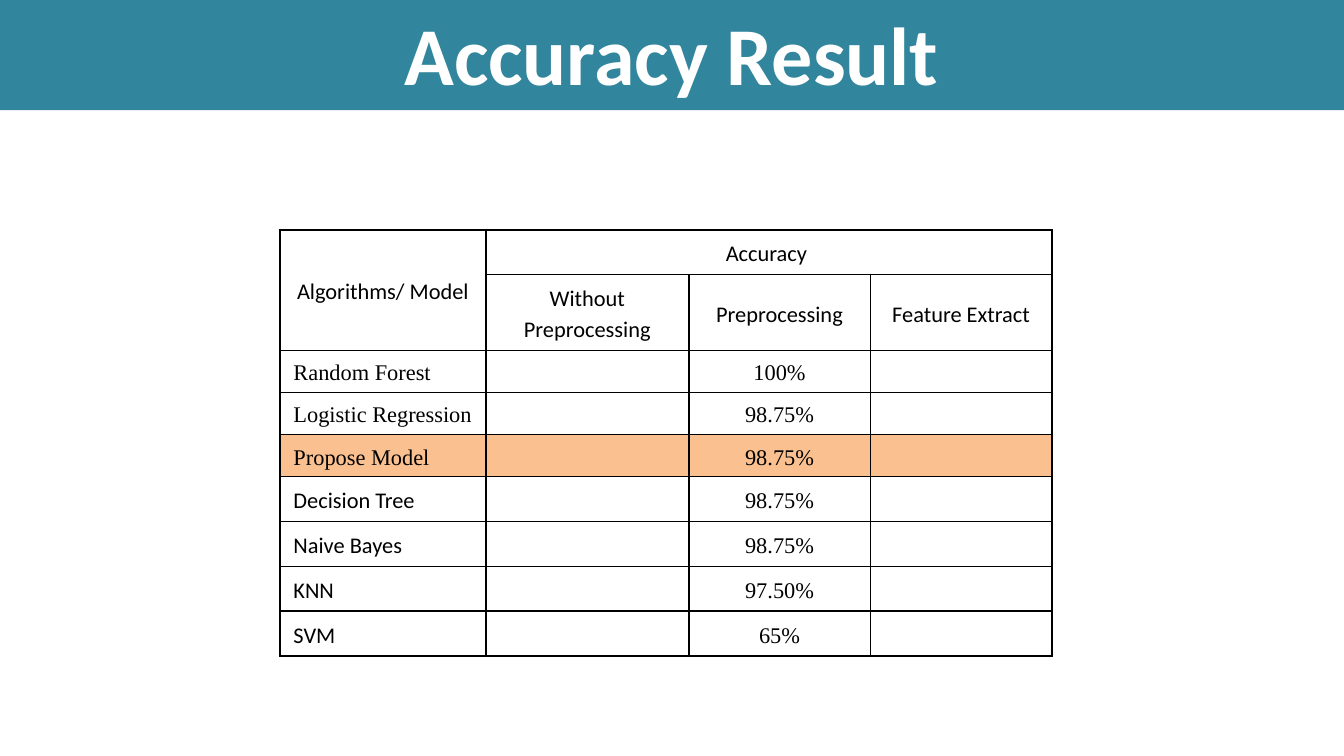
from lxml import etree
from pptx import Presentation
from pptx.dml.color import RGBColor
from pptx.enum import shapes, text
from pptx.oxml import ns
from pptx.util import Pt

TEAL = RGBColor(0x31, 0x85, 0x9C)
ORANGE = RGBColor(0xFA, 0xC0, 0x90)
WHITE = RGBColor(0xFF, 0xFF, 0xFF)
BLACK = RGBColor(0, 0, 0)
SANS, SERIF = "Calibri", "Times New Roman"

# Content
TITLE = "Accuracy Result"
HEADERS = [
    ["Algorithms/ Model", "Accuracy ", "", ""],
    ["", "Without Preprocessing", "Preprocessing", "Feature Extract"],
]
# Model, accuracy after preprocessing, font of the model name
RESULTS = [
    ("Random Forest", "100%", SERIF),
    ("Logistic Regression", "98.75%", SERIF),
    ("Propose Model", "98.75%", SERIF),
    ("Decision Tree", "98.75%", SANS),
    ("Naive Bayes", "98.75%", SANS),
    ("KNN", "97.50%", SANS),
    ("SVM", "65%", SANS),
]
HIGHLIGHT = "Propose Model"

COLUMN_WIDTHS = [110.3, 108.7, 97.3, 97.3]
ROW_HEIGHTS = [24, 40.7] + [22.5 if font == SERIF else 24 for _, _, font in RESULTS]


def add_run(paragraph, words, font, size, color, bold=False):
    run = paragraph.add_run()
    run.text = words
    run.font.name, run.font.size, run.font.bold = font, Pt(size), bold
    run.font.color.rgb = color


def add_borders(cell):
    properties = cell._tc.get_or_add_tcPr()
    for index, side in enumerate(("lnL", "lnR", "lnT", "lnB")):
        line = etree.Element(ns.qn(f"a:{side}"), w=str(Pt(1)))
        fill = etree.SubElement(line, ns.qn("a:solidFill"))
        etree.SubElement(fill, ns.qn("a:srgbClr"), val=str(BLACK))
        properties.insert(index, line)


def format_cell(cell, words, font, centered, fill=None):
    cell.vertical_anchor = text.MSO_ANCHOR.MIDDLE
    if centered:
        cell.margin_left = cell.margin_right = cell.margin_top = cell.margin_bottom = 0
    if fill is None:
        cell.fill.background()
    else:
        cell.fill.solid()
        cell.fill.fore_color.rgb = fill
    add_borders(cell)
    if words:
        paragraph = cell.text_frame.paragraphs[0]
        paragraph.alignment = text.PP_ALIGN.CENTER if centered else text.PP_ALIGN.LEFT
        paragraph.line_spacing = 1.15
        add_run(paragraph, words, font, 12, BLACK)


presentation = Presentation()
presentation.slide_width, presentation.slide_height = Pt(720), Pt(405)
slide = presentation.slides.add_slide(presentation.slide_layouts[6])

# Accuracy table
table = slide.shapes.add_table(
    len(ROW_HEIGHTS), len(COLUMN_WIDTHS), Pt(150), Pt(123.1),
    Pt(sum(COLUMN_WIDTHS)), Pt(sum(ROW_HEIGHTS))).table
table.first_row = table.horz_banding = False
for column, width in zip(table.columns, COLUMN_WIDTHS):
    column.width = Pt(width)
for row, height in zip(table.rows, ROW_HEIGHTS):
    row.height = Pt(height)

for row, labels in enumerate(HEADERS):
    for column, label in enumerate(labels):
        format_cell(table.cell(row, column), label, SANS, True)
for row, (model, accuracy, font) in enumerate(RESULTS, len(HEADERS)):
    fill = ORANGE if model == HIGHLIGHT else None
    format_cell(table.cell(row, 0), model, font, False, fill)
    for column, words in enumerate(("", accuracy, ""), 1):
        format_cell(table.cell(row, column), words, SERIF, True, fill)
table.cell(0, 0).merge(table.cell(1, 0))
table.cell(0, 1).merge(table.cell(0, 3))

# Title banner
banner = slide.shapes.add_shape(
    shapes.MSO_SHAPE.RECTANGLE, 0, Pt(-1.5), Pt(720), Pt(60.5))
banner.shadow.inherit = False
banner.fill.solid()
banner.fill.fore_color.rgb = TEAL
banner.line.fill.background()
frame = banner.text_frame
frame.word_wrap = True
frame.auto_size = text.MSO_AUTO_SIZE.SHAPE_TO_FIT_TEXT
frame.vertical_anchor = text.MSO_ANCHOR.TOP
frame.paragraphs[0].alignment = text.PP_ALIGN.CENTER
add_run(frame.paragraphs[0], TITLE, SANS, 44, WHITE, bold=True)

presentation.save("out.pptx")
